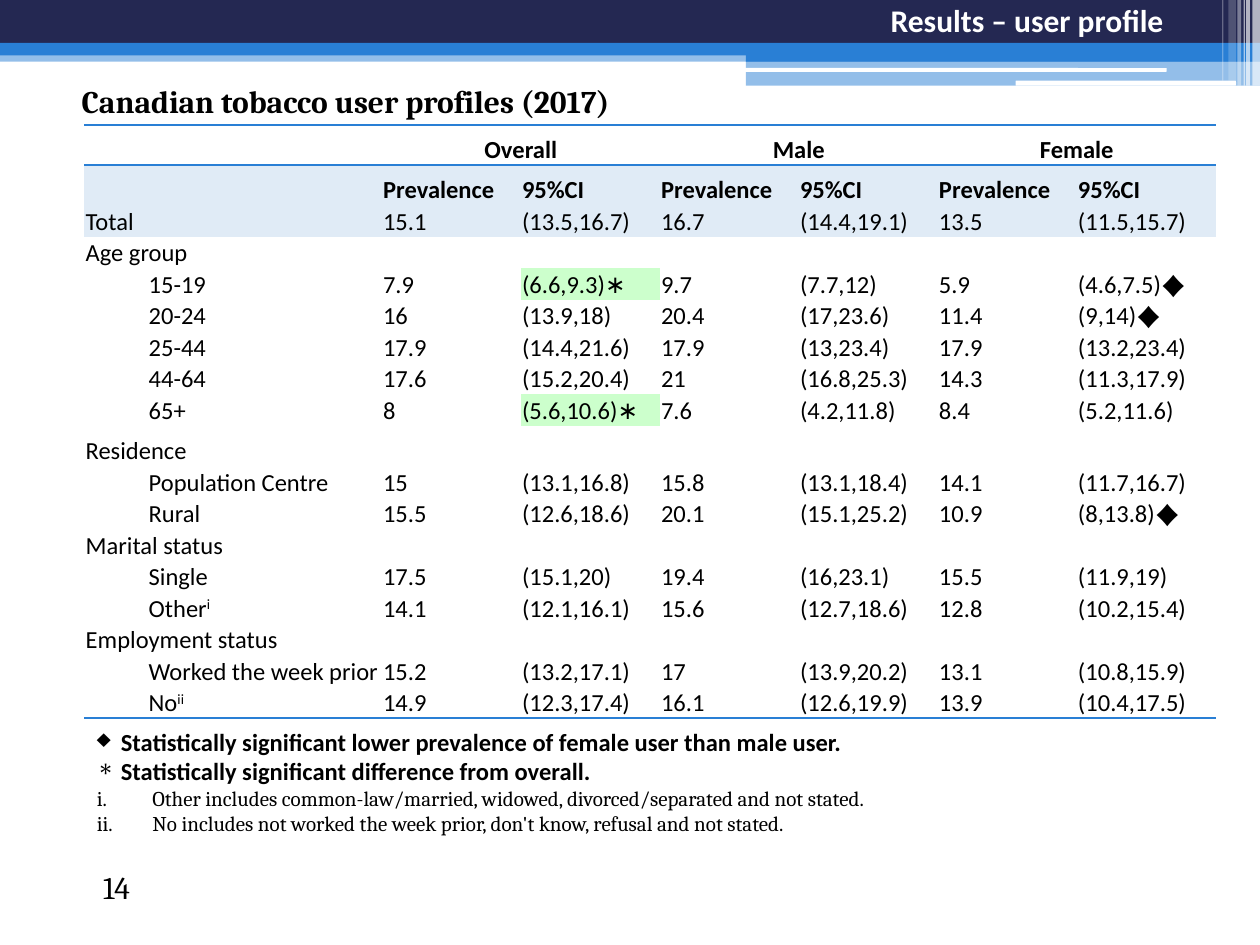
from lxml.etree import SubElement
from pptx import Presentation
from pptx.dml.color import RGBColor
from pptx.enum.shapes import MSO_SHAPE
from pptx.enum.text import MSO_ANCHOR, PP_ALIGN
from pptx.oxml.ns import qn
from pptx.util import Inches, Pt

NAVY = RGBColor(0x24, 0x28, 0x52)
BLUE = RGBColor(0x29, 0x7F, 0xD5)
PALE = RGBColor(0xE0, 0xEB, 0xF6)
GREEN = RGBColor(0xCC, 0xFF, 0xCC)
WHITE = RGBColor(0xFF, 0xFF, 0xFF)
BLACK = RGBColor(0, 0, 0)
NO_STYLE = "{2D5ABB26-0587-4C30-8999-92F81FD0307C}"
ROW_H, TALL_H = 0.25, 0.32
TALL_ROWS = (0, 1, 9)

BARS = [
    (0, 0.4, 10, 0.09, BLUE, 50),
    (0, 0, 10, 0.34, NAVY, 100),
    (0, 0.34, 10, 0.1, BLUE, 100),
    (5.92, 0.39, 4.08, 0.1, BLUE, 100),
    (5.92, 0.48, 4.08, 0.2, BLUE, 50),
]
SLOTS = [(5.91, 0.54, 3.35, 0.03), (8.06, 0.64, 1.75, 0.04)]
STRIPES = [
    (9.94, 0.06, 0.68, 65),
    (9.89, 0.03, 0.68, 65),
    (9.87, 0.01, 0.68, 60),
    (9.82, 0.03, 0.68, 40),
    (9.75, 0.06, 0.64, 20),
    (9.7, 0.01, 0.64, 30),
]
ROWS = [
    ["", "Overall", "", "Male", "", "Female", ""],
    [""] + ["Prevalence", "95%CI"] * 3,
    ["Total", "15.1", "(13.5,16.7)", "16.7", "(14.4,19.1)", "13.5", "(11.5,15.7)"],
    ["Age group"],
    ["15-19", "7.9", "(6.6,9.3)∗", "9.7", "(7.7,12)", "5.9", "(4.6,7.5)♦"],
    ["20-24", "16", "(13.9,18)", "20.4", "(17,23.6)", "11.4", "(9,14)♦"],
    ["25-44", "17.9", "(14.4,21.6)", "17.9", "(13,23.4)", "17.9", "(13.2,23.4)"],
    ["44-64", "17.6", "(15.2,20.4)", "21", "(16.8,25.3)", "14.3", "(11.3,17.9)"],
    ["65+", "8", "(5.6,10.6)∗", "7.6", "(4.2,11.8)", "8.4", "(5.2,11.6)"],
    ["Residence"],
    ["Population Centre", "15", "(13.1,16.8)", "15.8", "(13.1,18.4)", "14.1", "(11.7,16.7)"],
    ["Rural", "15.5", "(12.6,18.6)", "20.1", "(15.1,25.2)", "10.9", "(8,13.8)♦"],
    ["Marital status"],
    ["Single", "17.5", "(15.1,20)", "19.4", "(16,23.1)", "15.5", "(11.9,19)"],
    ["Other^i", "14.1", "(12.1,16.1)", "15.6", "(12.7,18.6)", "12.8", "(10.2,15.4)"],
    ["Employment status"],
    ["Worked the week prior", "15.2", "(13.2,17.1)", "17", "(13.9,20.2)", "13.1", "(10.8,15.9)"],
    ["No^ii", "14.9", "(12.3,17.4)", "16.1", "(12.6,19.9)", "13.9", "(10.4,17.5)"],
]
NOTES = [
    ("Statistically significant lower prevalence of female user than male user.", "♦"),
    ("Statistically significant difference from overall.", "∗"),
    ("Other includes common-law/married, widowed, divorced/separated and not stated.", None),
    ("No includes not worked the week prior, don't know, refusal and not stated.", None),
]


def write(p, text, size=14, font="Calibri", color=BLACK, bold=False,
          align=PP_ALIGN.LEFT, left=0, hang=0):
    p.alignment = align
    pPr = p._p.get_or_add_pPr()
    pPr.set("marL", str(Inches(left)))
    pPr.set("indent", str(Inches(-hang)))
    base, _, note = text.partition("^")
    for part in filter(None, (base, note)):
        r = p.add_run()
        r.text = part
        r.font.size, r.font.name, r.font.bold = Pt(size), font, bold
        r.font.color.rgb = color
        if part is note:
            r._r.get_or_add_rPr().set("baseline", "30000")
    if not text:
        SubElement(p._p, qn("a:endParaRPr"), sz=str(size * 100))


def add_bar(s, x, y, w, h, color, opacity=100, kind=MSO_SHAPE.RECTANGLE):
    sp = s.shapes.add_shape(kind, Inches(x), Inches(y), Inches(w), Inches(h))
    sp.shadow.inherit = False
    sp.fill.solid()
    sp.fill.fore_color.rgb = color
    sp.line.fill.background()
    if opacity < 100:
        clr = sp._element.spPr.find(qn("a:solidFill"))[0]
        SubElement(clr, qn("a:alpha"), val=str(opacity * 1000))


def add_banner(s, x, y):
    for dx, dy, w, h, color, opacity in BARS:
        add_bar(s, x + dx, y + dy, w, h, color, opacity)
    for dx, dy, w, h in SLOTS:
        add_bar(s, x + dx, y + dy, w, h, WHITE, kind=MSO_SHAPE.ROUNDED_RECTANGLE)
    for dx, w, h, opacity in STRIPES:
        add_bar(s, x + dx, y, w, h, WHITE, opacity)


def add_box(s, x, y, w, h, wrap=True, anchor=MSO_ANCHOR.TOP):
    tf = s.shapes.add_textbox(Inches(x), Inches(y), Inches(w), Inches(h)).text_frame
    tf.word_wrap, tf.vertical_anchor = wrap, anchor
    return tf


def add_label(s, x, y, w, h, text, wrap=True, anchor=MSO_ANCHOR.TOP, **fmt):
    write(add_box(s, x, y, w, h, wrap, anchor).paragraphs[0], text, size=18, **fmt)


def add_rule(cell, side):
    ln = SubElement(cell._tc.get_or_add_tcPr(), qn("a:" + side), w=str(Pt(1)))
    fill = SubElement(ln, qn("a:solidFill"))
    SubElement(fill, qn("a:srgbClr"), val=str(BLUE))


def fill_cell(cell, i, j, text, indented):
    cell.margin_left = cell.margin_right = cell.margin_top = Inches(0.01)
    cell.margin_bottom = 0
    cell.vertical_anchor = MSO_ANCHOR.BOTTOM
    if i == 0:
        add_rule(cell, "lnT")
    if i in (0, len(ROWS) - 1):
        add_rule(cell, "lnB")
    color = PALE if i in (1, 2) else GREEN if "∗" in text else None
    if color is None:
        cell.fill.background()
    else:
        cell.fill.solid()
        cell.fill.fore_color.rgb = color
    write(cell.text_frame.paragraphs[0], text, bold=i < 2,
          align=PP_ALIGN.LEFT if i else PP_ALIGN.CENTER, left=0.5 if indented else 0)


def add_profile_table(s, x, y, w):
    heights = [TALL_H if i in TALL_ROWS else ROW_H for i in range(len(ROWS))]
    table = s.shapes.add_table(len(ROWS), 7, Inches(x), Inches(y), Inches(w),
                               Inches(sum(heights))).table
    table.first_row = table.horz_banding = False
    table._tbl.tblPr.find(qn("a:tableStyleId")).text = NO_STYLE
    first = 2.36
    for j, col in enumerate(table.columns):
        col.width = Inches((w - first) / 6 if j else first)
    for i, values in enumerate(ROWS):
        table.rows[i].height = Inches(heights[i])
        for j in range(7):
            text = values[j] if j < len(values) else ""
            indented = j == 0 and i > 3 and len(values) > 1
            fill_cell(table.cell(i, j), i, j, text, indented)
    for j in (1, 3, 5):
        table.cell(0, j).merge(table.cell(0, j + 1))


def add_notes(s, x, y, w, h):
    tf = add_box(s, x, y, w, h)
    for i, (text, mark) in enumerate(NOTES):
        p = tf.paragraphs[0] if i == 0 else tf.add_paragraph()
        if mark:
            write(p, text, bold=True, left=0.19, hang=0.19)
            SubElement(p._p.pPr, qn("a:buChar"), char=mark)
        else:
            write(p, text, size=12, font="Cambria", left=0.44, hang=0.44)
            SubElement(p._p.pPr, qn("a:buAutoNum"), type="romanLcPeriod")


def main():
    prs = Presentation()
    prs.slide_width, prs.slide_height = Inches(10), Inches(7.5)
    s = prs.slides.add_slide(prs.slide_layouts[6])
    add_banner(s, 0, 0)
    add_profile_table(s, 0.67, 0.99, 8.98)
    add_label(s, 0.51, 6.84, 0.83, 0.4, "14", font="Cambria",
              anchor=MSO_ANCHOR.BOTTOM, align=PP_ALIGN.CENTER)
    add_label(s, 6.97, -0.04, 2.55, 0.4, "Results – user profile", wrap=False,
              color=WHITE, bold=True)
    add_label(s, 0.43, 0.6, 5.43, 0.4, "Canadian tobacco user profiles (2017)",
              font="Cambria", bold=True, left=0.12)
    add_notes(s, 0.67, 5.72, 8.58, 0.98)
    prs.save("out.pptx")


if __name__ == "__main__":
    main()
